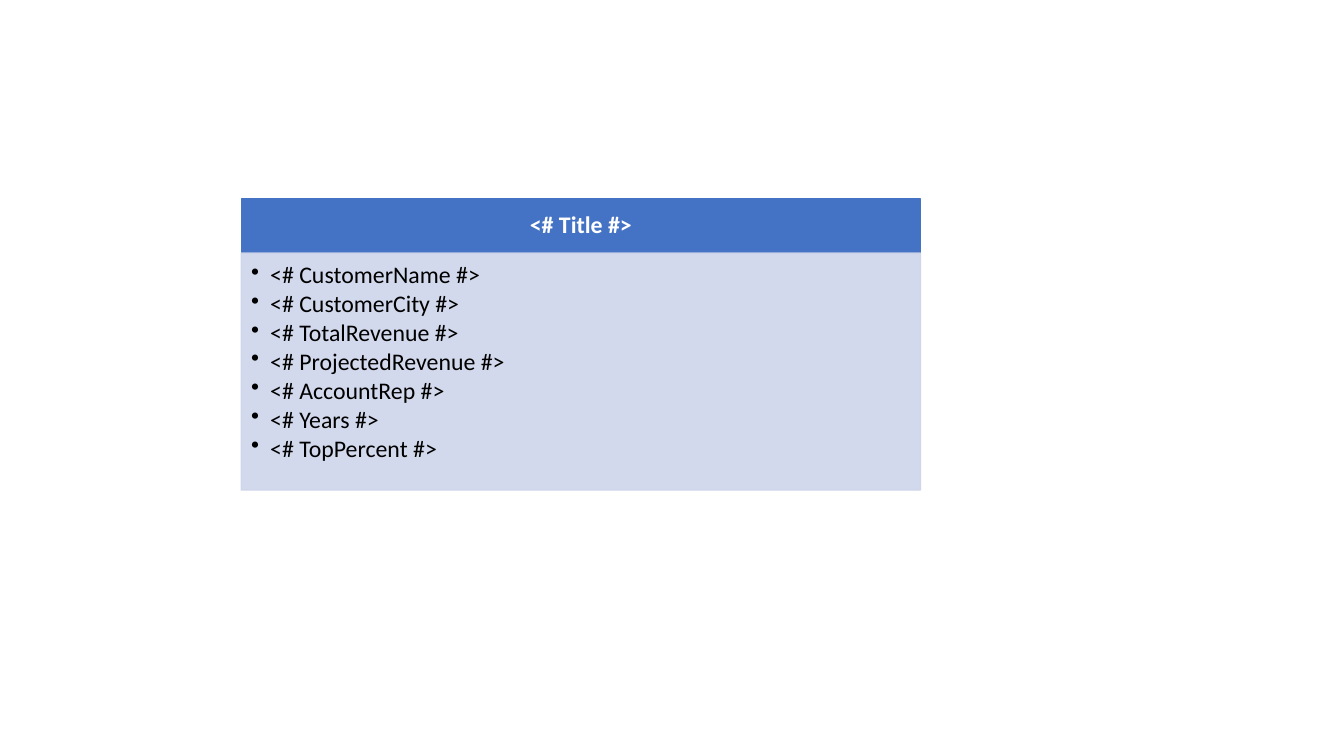
from pptx import Presentation
from pptx.dml.color import RGBColor as RGB
from pptx.enum.shapes import MSO_SHAPE as Shape
from pptx.enum.text import MSO_ANCHOR as Anchor, PP_ALIGN as Align
from pptx.oxml.ns import qn
from pptx.util import Cm, Pt
from lxml.etree import SubElement as Sub

COLORS = {"head": "4472C4", "body": "CFD5EA", "light": "FFFFFF", "dark": "000000"}
FIELDS = ["CustomerName", "CustomerCity", "TotalRevenue", "ProjectedRevenue",
          "AccountRep", "Years", "TopPercent"]


def add_panel(slide, box, color, pads, anchor):
    panel = slide.shapes.add_shape(Shape.RECTANGLE, *map(Cm, box))
    panel.shadow.inherit = False
    panel.line.width = Pt(1)
    for fill in (panel.fill, panel.line.fill):
        fill.solid()
        fill.fore_color.rgb = RGB.from_string(COLORS[color])
    frame = panel.text_frame
    frame.word_wrap = True
    frame.vertical_anchor = anchor
    (frame.margin_left, frame.margin_top,
     frame.margin_right, frame.margin_bottom) = map(Cm, pads)
    return panel


def set_text(para, text, color, align, after):
    para.text = f"<# {text} #>"
    para.alignment = align
    para.line_spacing = 0.9
    para.space_after = Pt(after)
    para.font.name = "Calibri"
    para.font.size = Pt(17)
    para.font.color.rgb = RGB.from_string(COLORS[color])


def add_head(slide, box, title):
    panel = add_panel(slide, box, "head", (0.33, 0.2, 0.33, 0.2), Anchor.MIDDLE)
    para = panel.text_frame.paragraphs[0]
    set_text(para, title, "light", Align.CENTER, 6)
    para.font.bold = True


def add_body(slide, box, fields):
    panel = add_panel(slide, box, "body", (0.25, 0.25, 0.33, 0.38), Anchor.TOP)
    for color in panel._element.spPr.iter(qn("a:srgbClr")):
        Sub(color, qn("a:alpha"), val="90000")
    frame = panel.text_frame
    for i, field in enumerate(fields):
        para = frame.add_paragraph() if i else frame.paragraphs[0]
        set_text(para, field, "dark", Align.LEFT, 2.3)
        para.level = 1
        props = para._p.get_or_add_pPr()
        indent = Cm(0.48)
        props.set("marL", str(indent))
        props.set("indent", str(-indent))
        bullet = Sub(props, qn("a:buChar"), char="•")
        props.find(qn("a:defRPr")).addprevious(bullet)


def add_card(slide, box, title, fields):
    left, top, width, height = box
    split = 1.36
    add_head(slide, (left, top, width, split), title)
    add_body(slide, (left, top + split, width, height - split), fields)


deck = Presentation()
deck.slide_width, deck.slide_height = Cm(33.87), Cm(19.05)
page = deck.slides.add_slide(deck.slide_layouts[6])
add_card(page, (6.08, 5.02, 17.12, 7.33), "Title", FIELDS)
deck.save("out.pptx")
